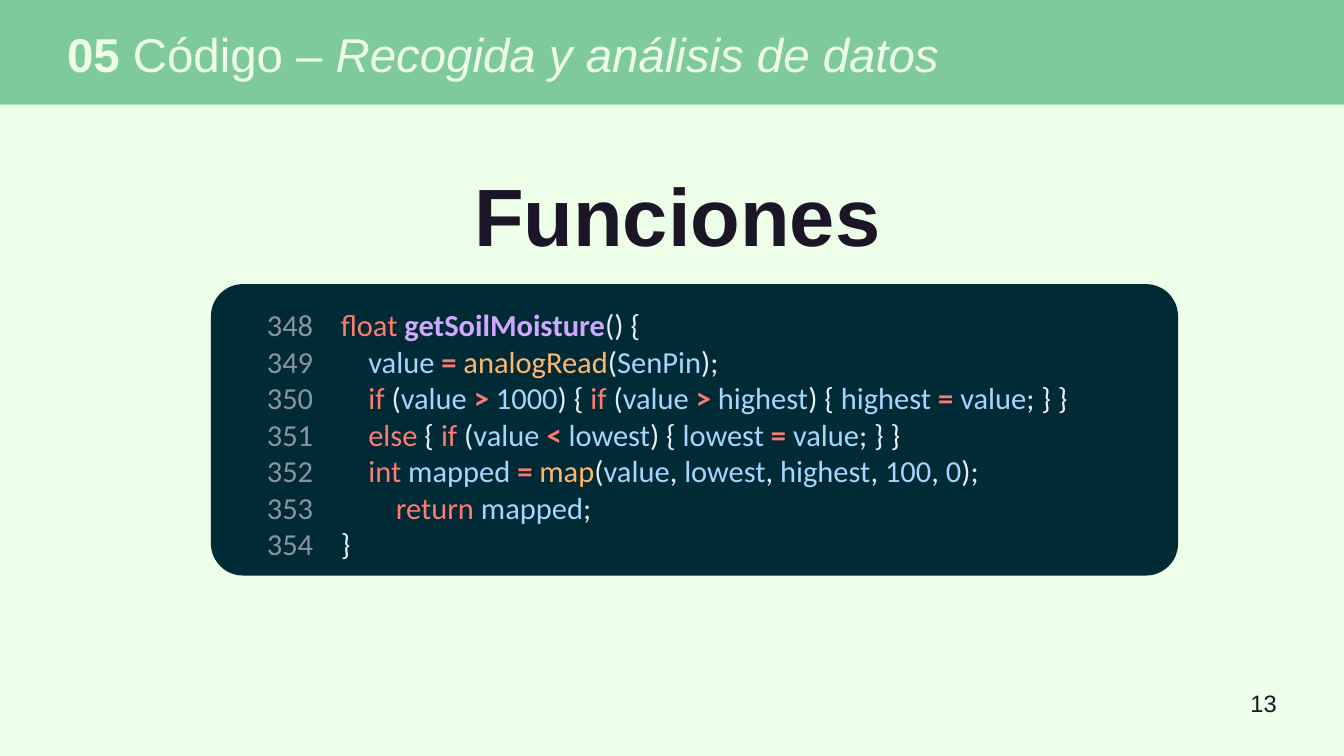
import itertools
from dataclasses import dataclass

import pptx
import pptx.dml.color
import pptx.enum.shapes
import pptx.enum.text
import pptx.shapes.autoshape
import pptx.text.text
import pptx.util

Inches = pptx.util.Inches
SHAPE = pptx.enum.shapes.MSO_SHAPE
ALIGN = pptx.enum.text.PP_ALIGN
ANCHOR = pptx.enum.text.MSO_ANCHOR
FIT = pptx.enum.text.MSO_AUTO_SIZE

MINT, GREEN, INK, NAVY = "EDFFE8", "7ECA9C", "1C1427", "002B36"
GRAY, RED, VIOLET = "8B949E", "FF7B72", "D2A8FF"
WHITE, BLUE, ORANGE = "E6EDF3", "A5D6FF", "FFB66C"

FIRST = 348
CODE = """float getSoilMoisture() {
    value = analogRead(SenPin);
    if (value > 1000) { if (value > highest) { highest = value; } }
    else { if (value < lowest) { lowest = value; } }
    int mapped = map(value, lowest, highest, 100, 0);
        return mapped;
}"""
WORDS = dict.fromkeys(["float", "if", "else", "int", "return"], RED)
WORDS |= {"getSoilMoisture": VIOLET, "analogRead": ORANGE, "map": ORANGE}


@dataclass
class Box:
    left: float
    top: float
    width: float
    height: float

    def place(self) -> list[pptx.util.Length]:
        return [Inches(n) for n in (self.left, self.top, self.width, self.height)]


@dataclass
class Style:
    size: float
    color: str
    bold: bool = False
    italic: bool = False
    font: str = "Arial"


def paint(target, color: str) -> None:
    """Colour a font, or a fill that is already solid."""
    holder = target.color if hasattr(target, "color") else target.fore_color
    holder.rgb = pptx.dml.color.RGBColor.from_string(color)


def write(para, text: str, style: Style) -> None:
    run = para.add_run()
    run.text = text
    font = run.font
    font.name, font.size = style.font, pptx.util.Pt(style.size)
    font.bold, font.italic = style.bold, style.italic
    paint(font, style.color)


def block(shapes, kind: SHAPE, box: Box, color: str) -> pptx.shapes.autoshape.Shape:
    shape = shapes.add_shape(kind, *box.place())
    shape.shadow.inherit = False
    shape.fill.solid()
    paint(shape.fill, color)
    shape.line.fill.background()
    return shape


def label(shapes, box: Box) -> pptx.text.text.TextFrame:
    frame = shapes.add_textbox(*box.place()).text_frame
    frame.word_wrap = True
    frame.margin_left = frame.margin_right = 0
    frame.margin_top = frame.margin_bottom = 0
    return frame


def sort(char: str) -> str:
    """Name the class of a code character."""
    if char.isalnum():
        return "word"
    return "sign" if char in "=<>" else "mark"


def scan(para, number: int, line: str) -> None:
    """Write one numbered code line with coloured tokens."""
    write(para, f"{number}    ", Style(18, GRAY, font="Calibri"))
    for kind, chars in itertools.groupby(line, sort):
        token = "".join(chars)
        color = {"word": WORDS.get(token, BLUE), "sign": RED, "mark": WHITE}[kind]
        bold = kind == "sign" or color == VIOLET
        write(para, token, Style(18, color, bold, font="Calibri"))


def main() -> None:
    deck = pptx.Presentation()
    deck.slide_width, deck.slide_height = Inches(11.02), Inches(6.2)
    slide = deck.slides.add_slide(deck.slide_layouts[6])
    slide.background.fill.solid()
    paint(slide.background.fill, MINT)
    shapes = slide.shapes

    # Title band
    block(shapes, SHAPE.RECTANGLE, Box(0, 0, 11.02, 0.86), GREEN)
    title = label(shapes, Box(0.55, 0.17, 9.92, 0.54))
    title.vertical_anchor = ANCHOR.MIDDLE
    para = title.paragraphs[0]
    write(para, "05 ", Style(28, MINT, bold=True))
    write(para, "Código – ", Style(28, MINT))
    write(para, "Recogida y análisis de datos", Style(28, MINT, italic=True))

    # Code panel
    group = shapes.add_group_shape().shapes
    panel = block(group, SHAPE.ROUNDED_RECTANGLE, Box(1.73, 2.33, 7.93, 2.39), NAVY)
    panel.adjustments[0] = 0.11
    frame = block(group, SHAPE.RECTANGLE, Box(2.09, 2.43, 6.96, 2.26), NAVY).text_frame
    frame.word_wrap = True
    frame.vertical_anchor = ANCHOR.MIDDLE
    for row, line in enumerate(CODE.splitlines()):
        para = frame.add_paragraph() if row else frame.paragraphs[0]
        para.alignment = ALIGN.LEFT
        scan(para, FIRST + row, line)

    # Heading, with side room so that it stays on one line
    head = label(shapes, Box(3.79, 1.31, 3.53, 0.84))
    head.word_wrap = False
    head.auto_size = FIT.SHAPE_TO_FIT_TEXT
    head.margin_top = head.margin_bottom = Inches(0.05)
    head.paragraphs[0].alignment = ALIGN.CENTER
    write(head.paragraphs[0], "Funciones", Style(48, INK, bold=True))

    # Page number
    page = label(shapes, Box(7.9, 5.65, 2.57, 0.43)).paragraphs[0]
    page.alignment = ALIGN.RIGHT
    write(page, "13", Style(14, INK))

    deck.save("out.pptx")


if __name__ == "__main__":
    main()
